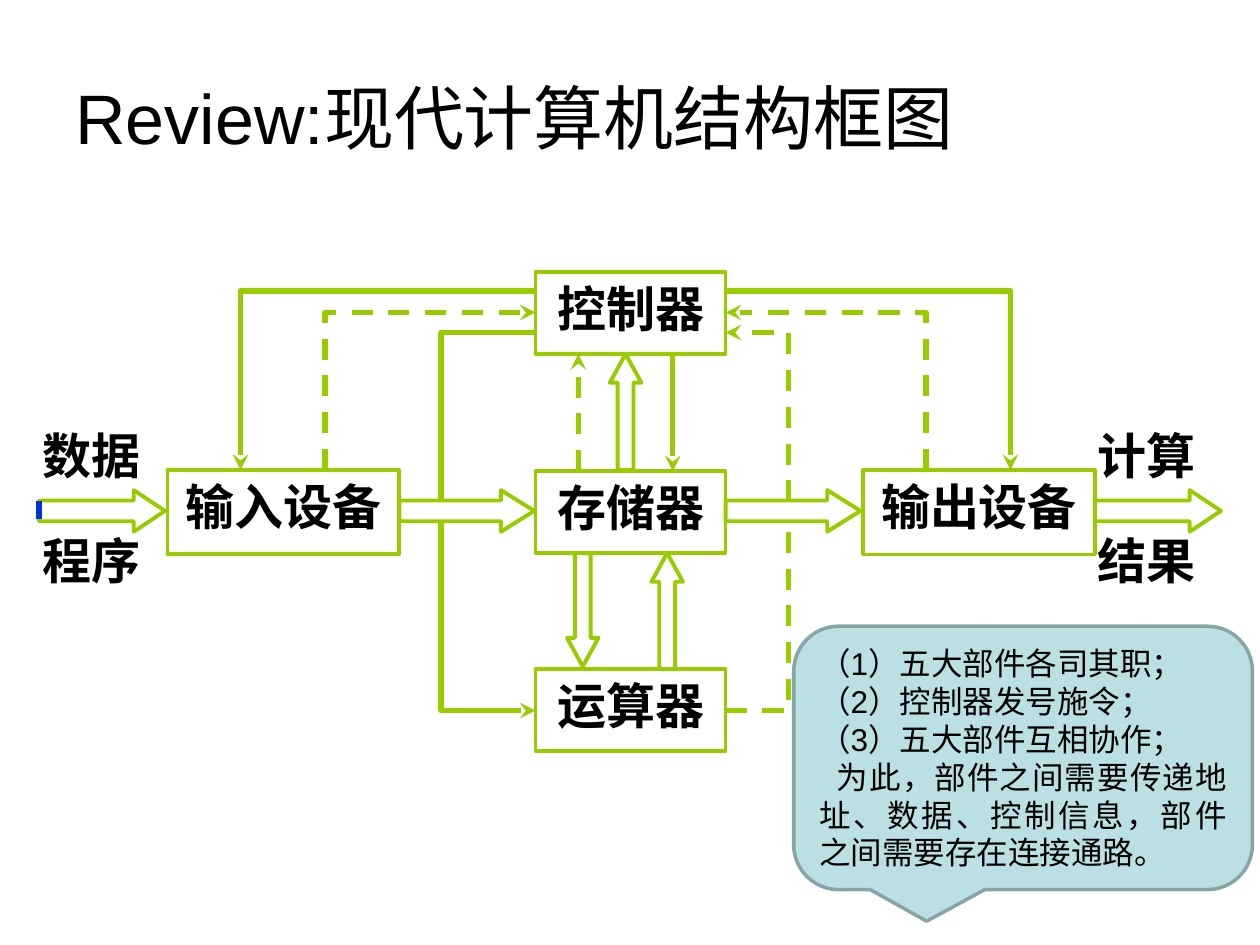
from dataclasses import dataclass

from lxml.etree import SubElement
from pptx import Presentation
from pptx.dml.color import RGBColor
from pptx.enum.dml import MSO_LINE
from pptx.enum.shapes import MSO_CONNECTOR, MSO_SHAPE as Preset
from pptx.enum.text import MSO_ANCHOR as Anchor, MSO_AUTO_SIZE as AutoSize, PP_ALIGN as Align
from pptx.oxml.ns import qn
from pptx.util import Inches, Pt

GREEN, BLUE, BLACK = "99CC00", "0033D8", "000000"
CJK = "Noto Sans CJK SC"

# The slide is a grid of 100 columns by 75 rows
COLUMNS, ROWS = 100, 75
prs = Presentation()
prs.slide_width, prs.slide_height = Inches(10), Inches(7.5)
slide = prs.slides.add_slide(prs.slide_layouts[6])
shapes = slide.shapes


@dataclass
class Box:
    col: float
    row: float
    cols: float
    rows: float

    @property
    def right(self) -> float:
        return self.col + self.cols

    @property
    def bottom(self) -> float:
        return self.row + self.rows

    def emu(self) -> tuple:
        return x(self.col), y(self.row), x(self.cols), y(self.rows)


@dataclass
class Unit:
    name: str
    box: Box
    border: float = 2


@dataclass
class Bus:
    preset: Preset
    box: Box
    head: float


@dataclass
class Signal:
    points: list
    dashed: bool = False
    arrow: bool = True


def x(cols: float) -> int:
    return round(prs.slide_width * cols / COLUMNS)


def y(rows: float) -> int:
    return round(prs.slide_height * rows / ROWS)


def color(value: str) -> RGBColor:
    return RGBColor.from_string(value)


def style_line(line, hue: str, width: float, dashed=False, arrow=False) -> None:
    line.color.rgb = color(hue)
    line.width = Pt(width)
    if dashed:
        line.dash_style = MSO_LINE.DASH
    if arrow:
        SubElement(line._get_or_add_ln(), qn("a:tailEnd"), type="stealth")


def write(frame, text: str, size: float, font: str, bold=False,
          align=Align.LEFT, anchor=Anchor.TOP, wrap=True) -> None:
    frame.text = text
    frame.word_wrap = wrap
    if not wrap:
        frame.auto_size = AutoSize.SHAPE_TO_FIT_TEXT
    frame.vertical_anchor = anchor
    for paragraph in frame.paragraphs:
        paragraph.alignment = align
        for run in paragraph.runs:
            run.font.size, run.font.bold = Pt(size), bold
            run.font.name = font
            run.font.color.rgb = color(BLACK)
            SubElement(run._r.get_or_add_rPr(), qn("a:ea"), typeface=CJK)


def add_preset(preset: Preset, box: Box, hue: str, width: float, fill=None):
    shape = shapes.add_shape(preset, *box.emu())
    shape.shadow.inherit = False
    if fill:
        shape.fill.solid()
        shape.fill.fore_color.rgb = color(fill)
    else:
        shape.fill.background()
    style_line(shape.line, hue, width)
    return shape


def add_label(text: str, box: Box, size: float, font: str, **options) -> None:
    write(shapes.add_textbox(*box.emu()).text_frame, text, size, font, **options)


def add_unit(unit: Unit) -> None:
    shape = add_preset(Preset.RECTANGLE, unit.box, GREEN, unit.border)
    write(shape.text_frame, unit.name, 28, CJK, bold=True, align=Align.CENTER)


def add_bus(bus: Bus) -> None:
    arrow = add_preset(bus.preset, bus.box, GREEN, 2.25)
    arrow.adjustments[0], arrow.adjustments[1] = 0.5, bus.head


def add_straight(start: tuple, end: tuple, hue: str, dashed=False, arrow=False) -> None:
    line = shapes.add_connector(MSO_CONNECTOR.STRAIGHT, x(start[0]), y(start[1]),
                                x(end[0]), y(end[1]))
    style_line(line.line, hue, 3, dashed, arrow)
    SubElement(line._element.spPr, qn("a:effectLst"))


def add_signal(signal: Signal) -> None:
    if len(signal.points) == 2:
        add_straight(*signal.points, GREEN, signal.dashed, signal.arrow)
        return
    start, *rest = [(x(col), y(row)) for col, row in signal.points]
    builder = shapes.build_freeform(*start, scale=1.0)
    builder.add_line_segments(rest, close=False)
    route = builder.convert_to_shape()
    route.shadow.inherit = False
    route.fill.background()
    style_line(route.line, GREEN, 3, signal.dashed, signal.arrow)


# Title
add_label("Review:现代计算机结构框图", Box(5, 3, 90, 12.5), 40, "Arial",
          anchor=Anchor.MIDDLE)

# The five units
control, memory, arithmetic = (Box(42.5, row, 15.1, 6.5) for row in (21.6, 37.4, 53.1))
source, sink = (Box(col, 37.3, 18.4, 6.7) for col in (13.3, 68.5))
for unit in (Unit("存储器", memory), Unit("输出设备", sink), Unit("输入设备", source, 2.25),
             Unit("运算器", arithmetic), Unit("控制器", control)):
    add_unit(unit)

# Data buses
for col, cols, head in ((3.1, 10, 0.75), (source.right, 10.7, 0.8),
                        (memory.right, 10.7, 0.8), (sink.right, 10, 0.75)):
    add_bus(Bus(Preset.RIGHT_ARROW, Box(col, 38.9, cols, 3.3), head))
for preset, col, row, rows in ((Preset.UP_ARROW, 48.4, control.bottom, 9.2),
                               (Preset.UP_ARROW, 51.7, memory.bottom, 9.2),
                               (Preset.DOWN_ARROW, 45, memory.bottom, 9)):
    add_bus(Bus(preset, Box(col, row, 2.5, rows), 0.91))

# Control signals (solid) and feedback signals (dashed)
left, right = control.col, control.right
upper, middle, lower = 23.1, 24.8, 26.4
bus_top, bus_bottom = 39.8, 41.4
arithmetic_mid = 56.4
for signal in (
    Signal([(35, bus_top), (35, lower), (left, lower)], arrow=False),
    Signal([(45.9, memory.row), (45.9, control.bottom)], dashed=True),
    Signal([(53.4, control.bottom), (53.4, memory.row)]),
    Signal([(35, bus_bottom), (35, arithmetic_mid), (left, arithmetic_mid)]),
    Signal([(right, arithmetic_mid), (62.6, arithmetic_mid), (62.6, bus_bottom)],
           dashed=True, arrow=False),
    Signal([(62.6, bus_top), (62.6, lower), (right, lower)], dashed=True),
    Signal([(25.8, source.row), (25.8, middle), (left, middle)], dashed=True),
    Signal([(left, upper), (19.1, upper), (19.1, source.row)]),
    Signal([(73.5, sink.row), (73.5, middle), (right, middle)], dashed=True),
    Signal([(right, upper), (80.2, upper), (80.2, sink.row)]),
):
    add_signal(signal)

# Input and output labels, above and below their buses
for col, words in ((2.4, ("数据", "程序")), (86.1, ("计算", "结果"))):
    for row, word in zip((33.3, 41.6), words):
        add_label(word, Box(col, row, 10, 5.7), 28, CJK, bold=True, wrap=False)

# Blue mark at the start of the input bus
add_straight((3.1, bus_top), (3.1, 41.2), BLUE)

# Callout with the conclusions
callout = add_preset(Preset.ROUNDED_RECTANGULAR_CALLOUT, Box(63, 49.7, 36.4, 20.9),
                     "89A4A7", 2, fill="BBE0E3")
for index, share in enumerate((-0.21, 0.62, 0.17)):
    callout.adjustments[index] = share
conclusions = (
    "（1）五大部件各司其职；",
    "（2）控制器发号施令；",
    "（3）五大部件互相协作；",
    "为此，部件之间需要传递地址、数据、控制信息，部件之间需要存在连接通路。",
)
write(callout.text_frame, "\n".join(conclusions), 18, "Arial",
      align=Align.JUSTIFY, anchor=Anchor.MIDDLE)
callout.text_frame.paragraphs[-1]._p.get_or_add_pPr().set("indent", str(Inches(0.14)))

prs.save("out.pptx")
